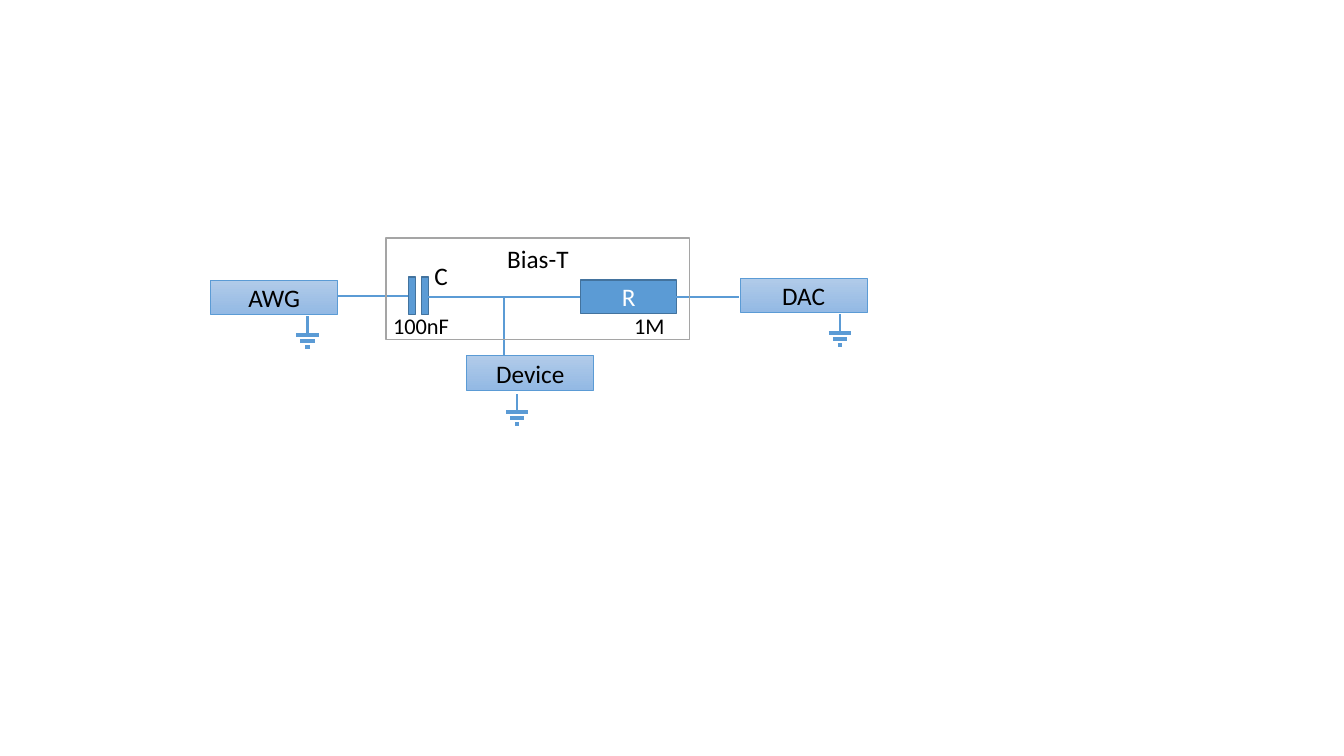
from lxml import etree
from pptx import Presentation
from pptx.dml.color import RGBColor
from pptx.enum.shapes import MSO_CONNECTOR, MSO_SHAPE
from pptx.enum.text import MSO_ANCHOR, MSO_AUTO_SIZE, PP_ALIGN
from pptx.oxml.ns import qn
from pptx.util import Inches, Pt

RECT = MSO_SHAPE.RECTANGLE
STRAIGHT = MSO_CONNECTOR.STRAIGHT
TOP, MIDDLE = MSO_ANCHOR.TOP, MSO_ANCHOR.MIDDLE
LEFT, CENTER = PP_ALIGN.LEFT, PP_ALIGN.CENTER
FIT = MSO_AUTO_SIZE.SHAPE_TO_FIT_TEXT

COLORS = {
    "blue": "5B9BD5", "edge": "43739E", "gray": "A5A5A5",
    "light": "B1CBE9", "deep": "93B9E4",
    "black": "000000", "white": "FFFFFF",
}


def color(name):
    return RGBColor.from_string(COLORS[name])


class Circuit:
    font = "Calibri"
    wire_width = 1.5
    bar_width = 2.75
    block_size = (1.26, 0.34)

    def __init__(self, slide):
        self.slide = slide

    def caption(self, shape, text, size=18, ink="black", align=CENTER, anchor=MIDDLE):
        frame = shape.text_frame
        frame.word_wrap = True
        frame.vertical_anchor = anchor
        para = frame.paragraphs[0]
        para.alignment = align
        run = para.add_run()
        run.text = text
        style = {"name": self.font, "size": Pt(size)}
        for key, value in style.items():
            setattr(run.font, key, value)
        run.font.color.rgb = color(ink)

    def box(self, x, y, w, h, fill=None, line="edge", width=1):
        shape = self.slide.shapes.add_shape(RECT, *map(Inches, (x, y, w, h)))
        shape.shadow.inherit = False
        if fill:
            shape.fill.solid()
            shape.fill.fore_color.rgb = color(fill)
        else:
            shape.fill.background()
        shape.line.color.rgb = color(line)
        shape.line.width = Pt(width)
        return shape

    def block(self, x, y, text):
        shape = self.box(x, y, *self.block_size, line="blue", width=0.5)
        shape.fill.gradient()
        shape.fill.gradient_angle = 270
        for stop, name in zip(shape.fill.gradient_stops, ("light", "deep")):
            stop.color.rgb = color(name)
        self.caption(shape, text)

    def label(self, x, y, w, h, text, size):
        shape = self.slide.shapes.add_textbox(*map(Inches, (x, y, w, h)))
        self.caption(shape, text, size, align=LEFT, anchor=TOP)
        shape.text_frame.auto_size = FIT

    def wire(self, x1, y1, x2, y2, width=wire_width, parent=None):
        shapes = (parent or self.slide).shapes
        line = shapes.add_connector(STRAIGHT, *map(Inches, (x1, y1, x2, y2)))
        line.line.color.rgb = color("blue")
        line.line.width = Pt(width)
        etree.SubElement(line._element.spPr, qn("a:effectLst"))

    def ground(self, x, y):
        group = self.slide.shapes.add_group_shape()
        for row, half in enumerate((0.11, 0.07, 0.02)):
            level = y + 0.18 + 0.06 * row
            self.wire(x - half, level, x + half, level, self.bar_width, group)
        self.wire(x, y, x, y + 0.2)


def main():
    deck = Presentation()
    deck.slide_width, deck.slide_height = Inches(13.33), Inches(7.5)
    art = Circuit(deck.slides.add_slide(deck.slide_layouts[6]))

    # Capacitor and resistor with their wires
    art.wire(3.35, 2.94, 4.05, 2.94)
    for x in (4.05, 4.18):
        art.box(x, 2.75, 0.07, 0.37, "blue")
    art.wire(4.24, 2.95, 5.75, 2.95)
    art.caption(art.box(5.76, 2.78, 0.95, 0.33, "blue"), "R", ink="white")
    art.wire(6.63, 2.95, 7.33, 2.95)
    art.wire(5, 2.95, 5, 3.57)

    # Instruments, each with a ground
    for x, y, text, ground in (
        (4.63, 3.53, "Device", (5.13, 3.91)),
        (2.09, 2.78, "AWG", (3.05, 3.14)),
        (7.34, 2.76, "DAC", (8.33, 3.12)),
    ):
        art.block(x, y, text)
        art.ground(*ground)

    # Bias-T frame and part values
    frame = art.box(3.83, 2.36, 3.01, 1.01, line="gray")
    art.caption(frame, "Bias-T", anchor=TOP)
    art.label(4.21, 2.53, 0.28, 0.4, "C", 18)
    art.label(6.19, 3.05, 0.66, 0.37, "1M", 16)
    art.label(3.8, 3.05, 0.84, 0.37, "100nF", 16)

    deck.save("out.pptx")


if __name__ == "__main__":
    main()
